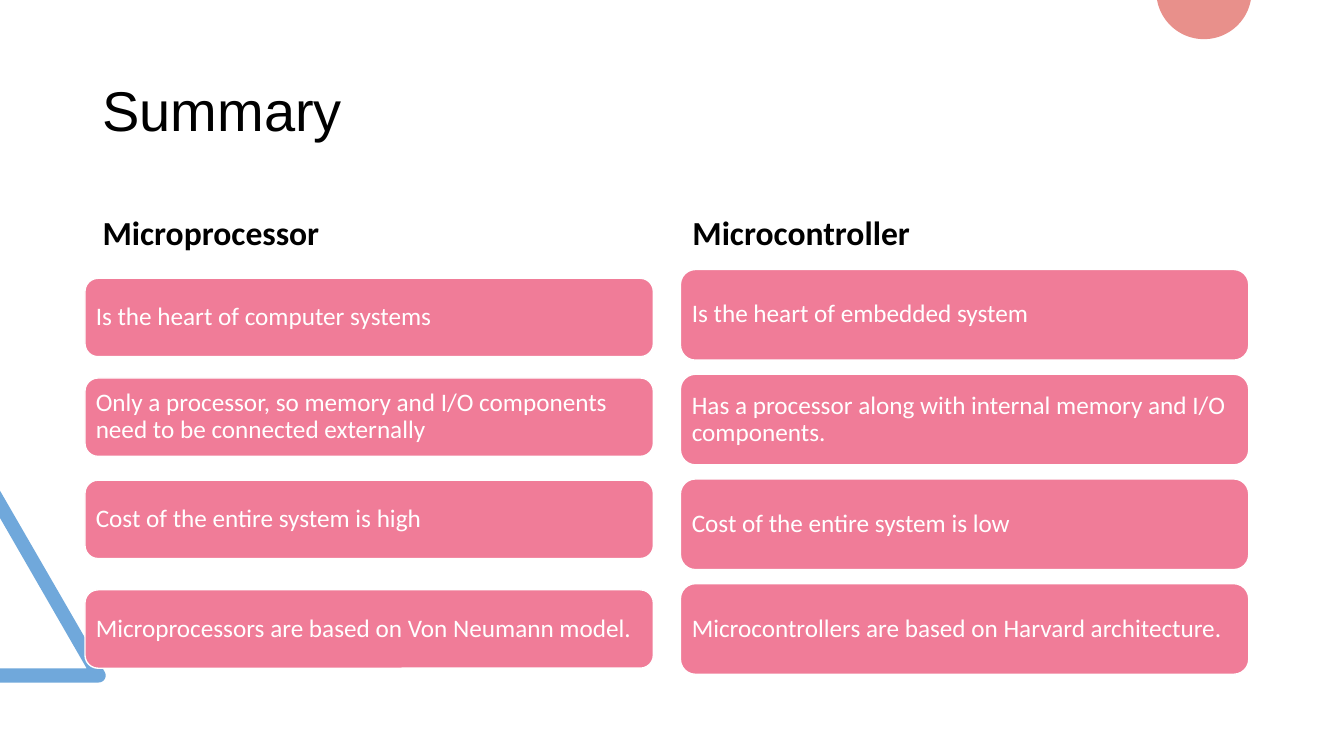
from dataclasses import dataclass
from math import acos, asin, cos, pi, sin

from pptx import Presentation
from pptx.dml.color import RGBColor
from pptx.enum.shapes import MSO_SHAPE as Shape
from pptx.enum.text import MSO_ANCHOR as Anchor, PP_ALIGN as Align
from pptx.util import Pt


@dataclass(frozen=True)
class Theme:
    ink: str = "000000"
    paper: str = "FFFFFF"
    card: str = "F07C98"
    triangle: str = "70A8DB"
    disc: str = "E8908B"
    title_font: str = "Arial"
    body_font: str = "Calibri"
    title_size: int = 40
    heading_size: int = 24
    card_size: int = 18


@dataclass(frozen=True)
class Box:
    left: float
    top: float
    width: float
    height: float

    def within(self, left, top, width, height):
        return Box(self.left + left, self.top + top, width, height)

    def lengths(self):
        return [Pt(n) for n in (self.left, self.top, self.width, self.height)]


THEME = Theme()


def write(frame, text, font, size, color, anchor, bold=False):
    frame.word_wrap = True
    frame.vertical_anchor = anchor
    frame.text = text
    para = frame.paragraphs[0]
    para.alignment = Align.LEFT
    para.line_spacing = 0.9
    span = para.runs[0].font
    span.name, span.size, span.bold = font, Pt(size), bold
    span.color.rgb = RGBColor.from_string(color)


def add_outline(page, box, points, color):
    corners = [(Pt(box.left + x), Pt(box.top + y)) for x, y in points]
    builder = page.shapes.build_freeform(*corners[0])
    builder.add_line_segments(corners[1:])
    outline = builder.convert_to_shape()
    outline.shadow.inherit = False
    outline.fill.solid()
    outline.fill.fore_color.rgb = RGBColor.from_string(color)
    outline.line.fill.background()


def arc(center_x, center_y, radius, start, end, steps):
    angles = [start + (end - start) * i / steps for i in range(steps + 1)]
    return [(center_x + radius * cos(a), center_y + radius * sin(a)) for a in angles]


def add_triangle(page, box):
    radius = 5
    tip = arc(box.width - radius, box.height - radius, radius, -pi / 6, pi / 2, 12)
    points = [(0, 0), *tip, (0, box.height), (0, box.height - 10),
              (62, box.height - 10), (0, 19.5)]
    add_outline(page, box, points, THEME.triangle)


def add_disc(page, box):
    half = box.width / 2
    radius = (half ** 2 + box.height ** 2) / (2 * box.height)
    center_y = box.height - radius
    start = asin(-center_y / radius)
    points = arc(half, center_y, radius, start, pi - start, 60)
    add_outline(page, box, points, THEME.disc)


def add_title(page, box, text):
    title = page.shapes.add_textbox(*box.lengths())
    write(title.text_frame, text, THEME.title_font, THEME.title_size, THEME.ink,
          Anchor.MIDDLE)


def add_card(page, box, text):
    card = page.shapes.add_shape(Shape.ROUNDED_RECTANGLE, *box.lengths())
    card.shadow.inherit = False
    card.fill.solid()
    card.fill.fore_color.rgb = RGBColor.from_string(THEME.card)
    card.line.color.rgb = RGBColor.from_string(THEME.paper)
    card.line.width = Pt(1)
    frame = card.text_frame
    frame.margin_left = frame.margin_right = Pt(5)
    frame.margin_top = frame.margin_bottom = Pt(5)
    write(frame, text, THEME.body_font, THEME.card_size, THEME.paper, Anchor.MIDDLE)


def add_column(page, box, heading, indent, card_height, cards):
    label = page.shapes.add_textbox(*box.within(indent, 0, box.width, 65).lengths())
    write(label.text_frame, heading, THEME.body_font, THEME.heading_size, THEME.ink,
          Anchor.BOTTOM, bold=True)
    for top, text in cards:
        add_card(page, box.within(0, top, box.width, card_height), text)


def build_summary(page):
    add_triangle(page, Box(0, 350.5, 75.5, 137))
    add_disc(page, Box(826.5, 0, 67, 28))
    add_title(page, Box(66.2, 29, 828, 104.4), "Summary")
    processor = [
        "Is the heart of computer systems",
        "Only a processor, so memory and I/O components need to be connected externally",
        "Cost of the entire system is high",
        "Microprocessors are based on Von Neumann model.",
    ]
    controller = [
        "Is the heart of embedded system",
        "Has a processor along with internal memory and I/O components.",
        "Cost of the entire system is low",
        "Microcontrollers are based on Harvard architecture.",
    ]
    processor_tops = [80, 151.2, 224.2, 302.5]
    controller_tops = [73.7 + 74.8 * row for row in range(len(controller))]
    add_column(page, Box(60.7, 118.8, 406, 363), "Microprocessor", 5.5, 56,
               zip(processor_tops, processor))
    add_column(page, Box(486, 118.8, 406, 363), "Microcontroller", 1.5, 64.8,
               zip(controller_tops, controller))


def main():
    deck = Presentation()
    deck.slide_width, deck.slide_height = Pt(960), Pt(540)
    page = deck.slides.add_slide(deck.slide_layouts[6])
    page.background.fill.solid()
    page.background.fill.fore_color.rgb = RGBColor.from_string(THEME.paper)
    build_summary(page)
    deck.save("out.pptx")


if __name__ == "__main__":
    main()
